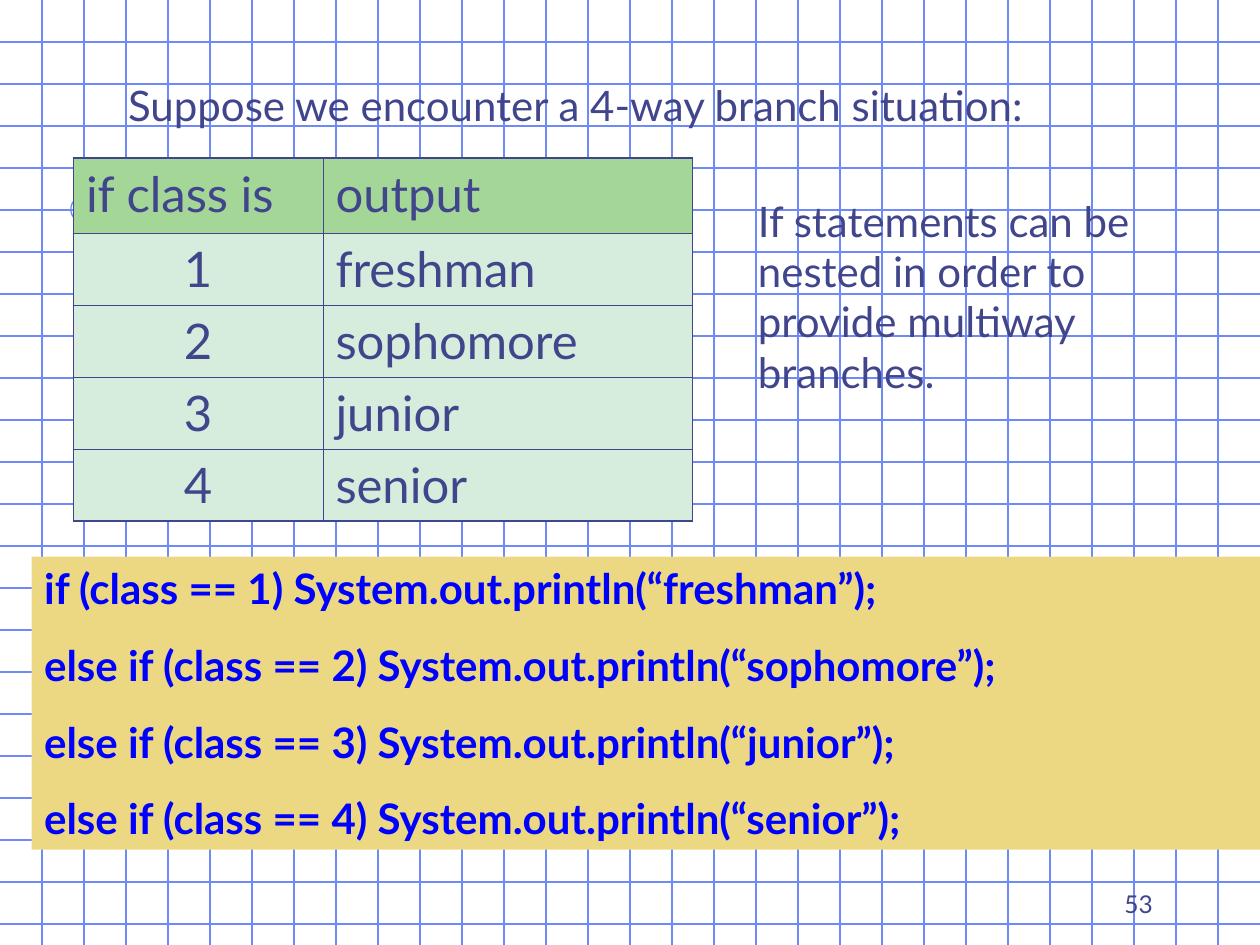
from math import cos, pi, sin

from lxml.etree import SubElement
from pptx import Presentation
from pptx.dml.color import RGBColor
from pptx.enum.shapes import MSO_CONNECTOR, MSO_SHAPE
from pptx.enum.text import MSO_ANCHOR, MSO_AUTO_SIZE, PP_ALIGN
from pptx.oxml.ns import qn
from pptx.util import Cm, Pt

HEADING = "Suppose we encounter a 4-way branch situation:"
NOTE = "If statements can be nested in order to provide multiway branches."
PAGE_NUMBER = "53"
CLASSES = [
    ("if class is", "output"),
    ("1", "freshman"),
    ("2", "sophomore"),
    ("3", "junior"),
    ("4", "senior"),
]
CODE = [
    "if (class == 1) System.out.println(“freshman”);",
    "else if (class == 2) System.out.println(“sophomore”);",
    "else if (class == 3) System.out.println(“junior”);",
    "else if (class == 4) System.out.println(“senior”);",
]
COLORS = {
    "grid": "7089F8",
    "accent": "6F89F7",
    "text": "40458C",
    "header": "A4D698",
    "body": "D6ECDC",
    "code_fill": "ECD882",
    "code": "0000FF",
}
FONT = "Lato"
WIDTH, HEIGHT = 25.4, 19.05
GRID_STEP = 2.54 / 3
ACCENTS = [
    (24.55, 0, 24.55, 6.55),
    (6.1, 4.22, 1.14, 4.22),
    (1.7, 3.94, 1.7, 10.39),
]
RING_X, RING_Y, RING_RADIUS = 1.7, 4.22, 0.27
COLUMN_WIDTHS = (5.03, 7.45)
HEADER_HEIGHT, ROW_HEIGHT = 1.52, 1.45
OUTER_BORDER, INNER_BORDER = 1.08, 0.45


def rgb(name):
    return RGBColor.from_string(COLORS[name])


def draw_line(slide, x1, y1, x2, y2, color):
    line = slide.shapes.add_connector(
        MSO_CONNECTOR.STRAIGHT, Cm(x1), Cm(y1), Cm(x2), Cm(y2))
    line.line.color.rgb = rgb(color)
    line.line.width = Pt(0.75)
    SubElement(line._element.spPr, qn("a:effectLst"))


def draw_background(slide):
    for i in range(1, int(HEIGHT / GRID_STEP) + 1):
        draw_line(slide, 0, i * GRID_STEP, WIDTH, i * GRID_STEP, "grid")
    for i in range(1, round(WIDTH / GRID_STEP)):
        draw_line(slide, i * GRID_STEP, 0, i * GRID_STEP, HEIGHT, "grid")
    for ends in ACCENTS:
        draw_line(slide, *ends, "accent")

    angles = [pi / 2 + i * pi / 24 for i in range(37)]
    points = [(Cm(RING_X + RING_RADIUS * cos(a)), Cm(RING_Y - RING_RADIUS * sin(a)))
              for a in angles]
    builder = slide.shapes.build_freeform(*points[0])
    builder.add_line_segments(points[1:], close=False)
    ring = builder.convert_to_shape()
    ring.shadow.inherit = False
    ring.fill.background()
    ring.line.color.rgb = rgb("accent")
    ring.line.width = Pt(0.75)


def write(frame, lines, size, color="text", bold=False, align=PP_ALIGN.LEFT,
          anchor=MSO_ANCHOR.TOP, gap=0):
    frame.word_wrap = True
    frame.vertical_anchor = anchor
    for i, text in enumerate(lines):
        paragraph = frame.add_paragraph() if i else frame.paragraphs[0]
        paragraph.alignment = align
        paragraph.space_before = Pt(gap if i else 0)
        run = paragraph.add_run()
        run.text = text
        run.font.name = FONT
        run.font.size = Pt(size)
        run.font.bold = bold
        run.font.color.rgb = rgb(color)


def add_text(slide, box, text, size, **style):
    frame = slide.shapes.add_textbox(*map(Cm, box)).text_frame
    write(frame, [text], size, **style)


def set_borders(cell, widths):
    properties = cell._tc.get_or_add_tcPr()
    for side, width in zip("LRTB", widths):
        border = SubElement(properties, qn(f"a:ln{side}"), w=str(int(Pt(width))))
        fill = SubElement(border, qn("a:solidFill"))
        SubElement(fill, qn("a:srgbClr"), val=COLORS["text"])


def add_class_table(slide):
    last_row, last_column = len(CLASSES) - 1, len(COLUMN_WIDTHS) - 1
    heights = [HEADER_HEIGHT] + [ROW_HEIGHT] * last_row
    table = slide.shapes.add_table(
        len(CLASSES), len(COLUMN_WIDTHS), Cm(1.48), Cm(3.18),
        Cm(sum(COLUMN_WIDTHS)), Cm(sum(heights))).table
    for column, width in zip(table.columns, COLUMN_WIDTHS):
        column.width = Cm(width)
    for r, (row, height) in enumerate(zip(table.rows, heights)):
        row.height = Cm(height)
        for c, cell in enumerate(row.cells):
            outer_sides = (c == 0, c == last_column, r == 0, r == last_row)
            set_borders(cell, [OUTER_BORDER if outer else INNER_BORDER
                               for outer in outer_sides])
            cell.fill.solid()
            cell.fill.fore_color.rgb = rgb("body" if r else "header")
            centred = r > 0 and c == 0
            cell.vertical_anchor = MSO_ANCHOR.TOP
            write(cell.text_frame, [CLASSES[r][c]], 28,
                  align=PP_ALIGN.CENTER if centred else PP_ALIGN.LEFT)


def add_code(slide):
    panel = slide.shapes.add_shape(
        MSO_SHAPE.RECTANGLE, Cm(0.64), Cm(11.22), Cm(24.76), Cm(5.91))
    panel.shadow.inherit = False
    panel.fill.solid()
    panel.fill.fore_color.rgb = rgb("code_fill")
    panel.line.fill.background()
    write(panel.text_frame, CODE, 24, color="code", bold=True, gap=15)


def main():
    presentation = Presentation()
    presentation.slide_width, presentation.slide_height = Cm(WIDTH), Cm(HEIGHT)
    slide = presentation.slides.add_slide(presentation.slide_layouts[5])
    draw_background(slide)

    heading = slide.shapes.title
    slide.shapes._spTree.append(heading._element)
    heading.left, heading.top = Cm(2.33), Cm(1.48)
    heading.width, heading.height = Cm(21.6), Cm(1.27)
    heading.text_frame.auto_size = MSO_AUTO_SIZE.NONE
    write(heading.text_frame, [HEADING], 24)

    add_class_table(slide)
    add_text(slide, (15.03, 3.81, 8.05, 5.33), NOTE, 24)
    add_code(slide)
    add_text(slide, (18.2, 17.36, 5.29, 1.27), PAGE_NUMBER, 14,
             align=PP_ALIGN.RIGHT, anchor=MSO_ANCHOR.BOTTOM)
    presentation.save("out.pptx")


if __name__ == "__main__":
    main()
